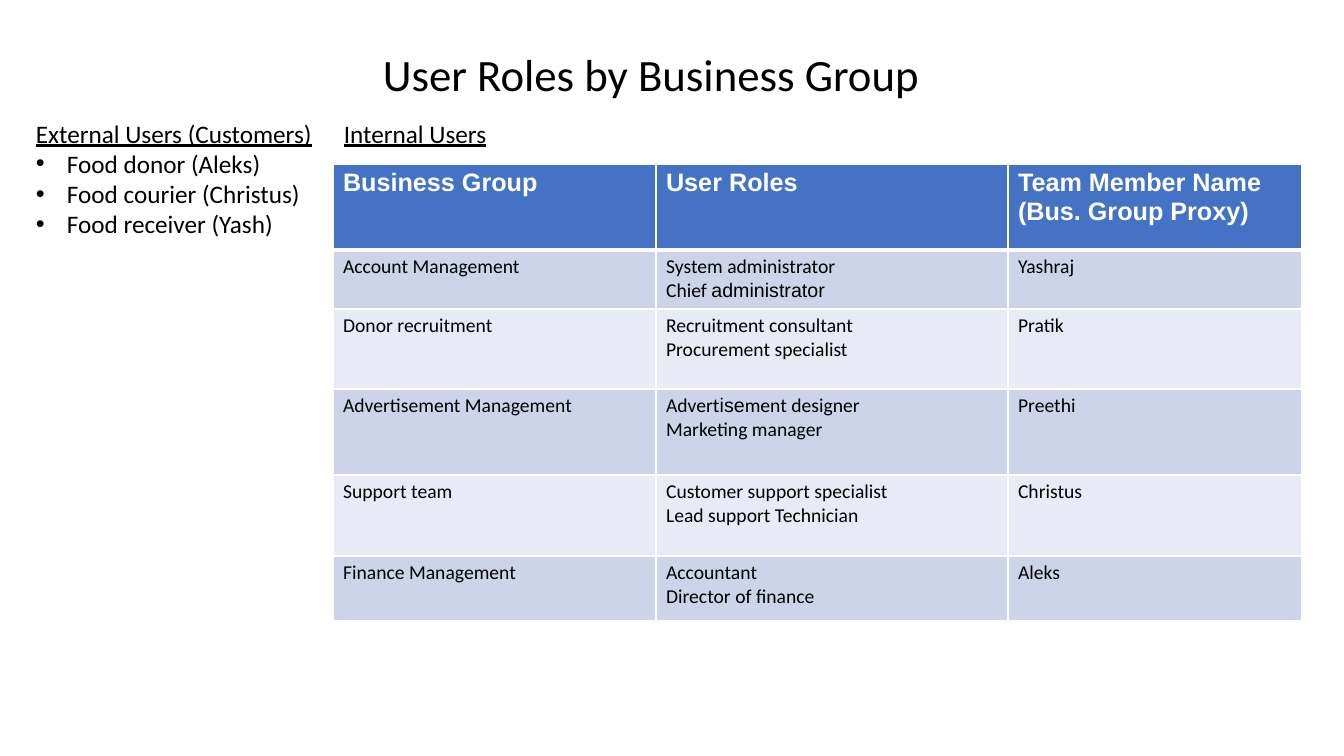
from dataclasses import dataclass

from lxml import etree
from pptx import Presentation
from pptx import util as u
from pptx.dml.color import RGBColor
from pptx.enum import text
from pptx.oxml.ns import qn


@dataclass(frozen=True)
class Theme:
    body_font: str = "Calibri"
    header_font: str = "Arial"
    ink: str = "000000"
    white: str = "FFFFFF"
    header: str = "4472C4"
    bands: tuple = ("CDD4EA", "E8EBF5")
    title_size: int = 32
    heading_size: int = 18
    cell_size: int = 14


theme = Theme()
PX = 914400 / 100.8


def px(n):
    return u.Emu(round(n * PX))


def style(run, size, color=theme.ink, name=theme.body_font, bold=False, underline=False):
    f = run.font
    f.size = u.Pt(size)
    f.name = name
    f.bold = bold
    f.underline = underline
    f.color.rgb = RGBColor.from_string(color)


prs = Presentation()
prs.slide_width, prs.slide_height = px(1344), px(756)
s = prs.slides.add_slide(prs.slide_layouts[6])

rows = [
    ("Business Group", "User Roles", "Team Member Name\n(Bus. Group Proxy)"),
    ("Account Management", "System administrator\nChief |administrator", "Yashraj"),
    ("Donor recruitment", "Recruitment consultant\nProcurement specialist", "Pratik"),
    ("Advertisement Management", "Advert|ise|ment designer\nMarketing manager", "Preethi"),
    ("Support team", "Customer support specialist\nLead support Technician", "Christus"),
    ("Finance Management", "Accountant\nDirector of finance", "Aleks"),
]
col_widths = (323, 352, 294)
row_heights = (86, 59, 80, 86, 81, 65)

text_blocks = [
    ((373, 42, 561, 65), theme.title_size, False, ["User Roles by Business Group"]),
    ((26, 113, 299, 132), theme.heading_size, True,
     ["External Users (Customers)", "Food donor (Aleks)",
      "Food courier (Christus)", "Food receiver (Yash)"]),
    ((334, 113, 164, 40), theme.heading_size, True, ["Internal Users"]),
]

for box, size, underlined, lines in text_blocks:
    tf = s.shapes.add_textbox(*map(px, box)).text_frame
    tf.word_wrap = True
    tf.auto_size = text.MSO_AUTO_SIZE.SHAPE_TO_FIT_TEXT
    tf.text = "\n".join(lines)
    for i, p in enumerate(tf.paragraphs):
        if i:
            pPr = p._p.get_or_add_pPr()
            pPr.set("marL", str(px(31)))
            pPr.set("indent", str(-px(31)))
            etree.SubElement(pPr, qn("a:buFont")).set("typeface", theme.header_font)
            etree.SubElement(pPr, qn("a:buChar")).set("char", "•")
        style(p.runs[0], size, underline=underlined and i == 0)

table = s.shapes.add_table(
    len(rows), len(col_widths), px(333), px(164), px(sum(col_widths)), px(sum(row_heights))
).table
for column, width in zip(table.columns, col_widths):
    column.width = px(width)

for r, (height, values) in enumerate(zip(row_heights, rows)):
    table.rows[r].height = px(height)
    for c, value in enumerate(values):
        cell = table.cell(r, c)
        tcPr = cell._tc.get_or_add_tcPr()
        for side in "LRTB":
            thick = (r, side) in ((0, "B"), (1, "T"))
            ln = etree.SubElement(tcPr, qn(f"a:ln{side}"), w=str(u.Pt(3 if thick else 1)))
            line_fill = etree.SubElement(ln, qn("a:solidFill"))
            etree.SubElement(line_fill, qn("a:srgbClr"), val=theme.white)
        cell.fill.solid()
        cell.fill.fore_color.rgb = RGBColor.from_string(
            theme.bands[(r - 1) % 2] if r else theme.header)
        tf = cell.text_frame
        for i, line in enumerate(value.split("\n")):
            p = tf.add_paragraph() if i else tf.paragraphs[0]
            for k, part in enumerate(line.split("|")):
                run = p.add_run()
                run.text = part
                if r == 0:
                    style(run, theme.heading_size, theme.white, theme.header_font, bold=True)
                else:
                    style(run, theme.cell_size,
                          name=theme.header_font if k % 2 else theme.body_font)

prs.save("out.pptx")
